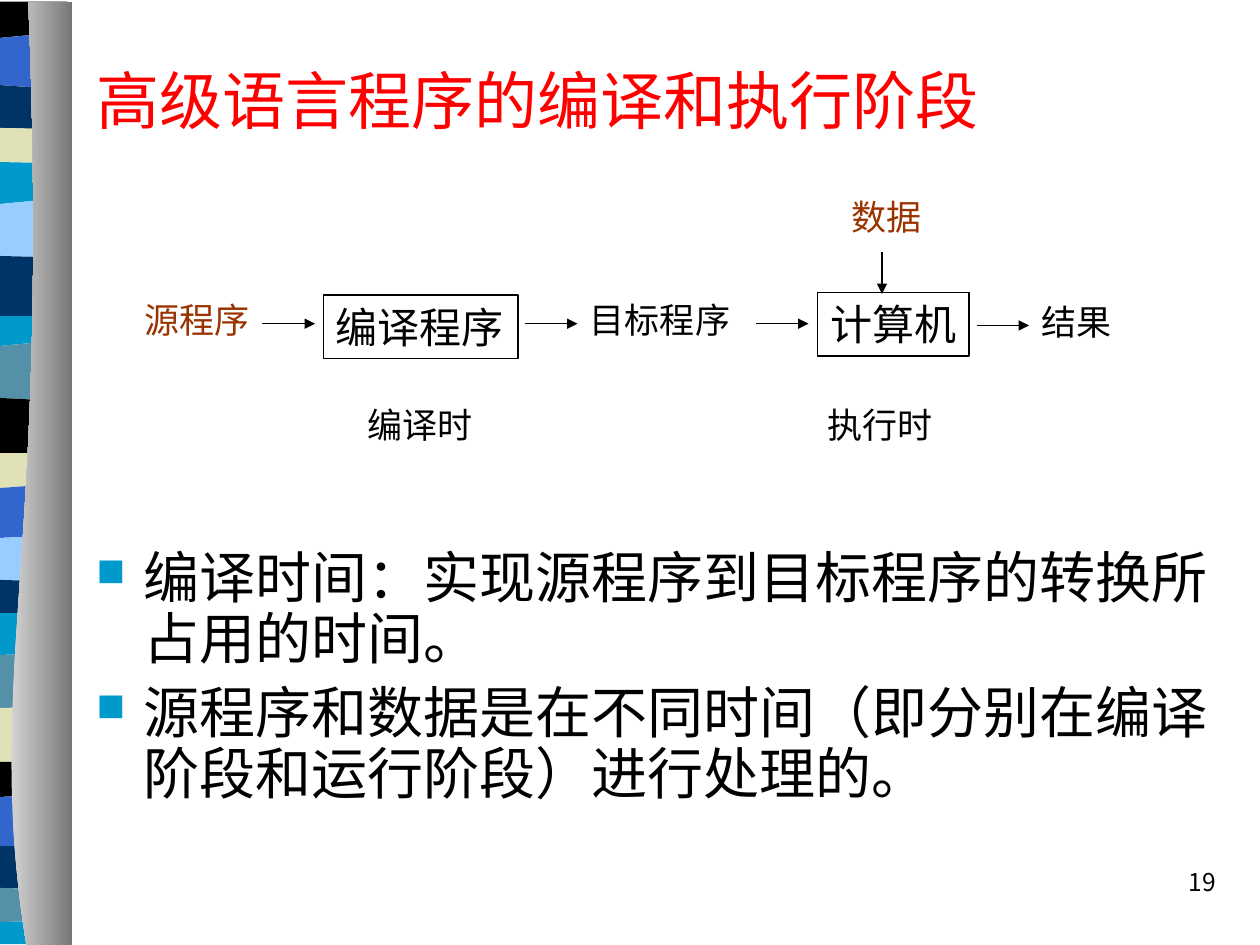
from lxml import etree
from pptx import Presentation
from pptx.dml.color import RGBColor
from pptx.enum.shapes import MSO_CONNECTOR, MSO_SHAPE
from pptx.enum.text import MSO_ANCHOR, MSO_AUTO_SIZE, PP_ALIGN
from pptx.oxml.ns import qn
from pptx.util import Pt

LEFT, RIGHT = PP_ALIGN.LEFT, PP_ALIGN.RIGHT
TOP, MIDDLE = MSO_ANCHOR.TOP, MSO_ANCHOR.MIDDLE
NO_FIT = MSO_AUTO_SIZE.NONE
RECTANGLE, STRAIGHT = MSO_SHAPE.RECTANGLE, MSO_CONNECTOR.STRAIGHT

FONT = "Noto Sans CJK SC"
BULLET_FONT, SQUARE_BULLET = "Wingdings", "n"
BLACK, RED, BROWN = "000000", "FF0000", "993300"
NAVY, BLUE, SKY, CYAN = "003366", "3366CC", "99CCFF", "0099CC"
TEAL, CREAM = "5490A8", "E1E1B7"
SLIDE_WIDTH, SLIDE_HEIGHT = 720, 540

TITLE = "高级语言程序的编译和执行阶段"
POINTS = [
    "编译时间：实现源程序到目标程序的转换所占用的时间。",
    "源程序和数据是在不同时间（即分别在编译阶段和运行阶段）进行处理的。",
]
PAGE_NUMBER = "19"

LABELS = [
    ("源程序", 75.6, 167, 74, BROWN),
    ("目标程序", 330, 167, 94, BLACK),
    ("编译时", 203, 226.8, 74, BLACK),
    ("数据", 479.5, 108, 54, BROWN),
    ("结果", 588.2, 168, 54, BLACK),
    ("执行时", 465.8, 226.8, 74, BLACK),
]
STAGES = [("编译程序", 184.8, 168.6, 111.2), ("计算机", 467.3, 167.2, 86.4)]
ARROWS = [
    (150, 185, 180, 185),
    (300, 185, 330, 185),
    (432, 185, 462, 185),
    (504, 144, 504, 168),
    (558, 186, 588, 186),
]

BANDS = [
    (BLACK, 1, 1), (BLUE, 21.7, 19.4), (NAVY, 48.6, 50.3), (CREAM, 73.1, 73.7),
    (CYAN, 92.6, 93.1), (SKY, 116.6, 114.3), (NAVY, 146.3, 146.9),
    (CYAN, 180.6, 180.6), (TEAL, 197.7, 195.4), (BLACK, 227.4, 228.6),
    (CREAM, 258.9, 258.9), (BLUE, 278.9, 277.1), (SKY, 307.4, 306.3),
    (NAVY, 331.4, 332), (CYAN, 350.3, 350.3), (TEAL, 374.3, 373.1),
    (CREAM, 404.6, 404), (BLACK, 435.4, 435.4), (BLUE, 455.4, 454.3),
    (NAVY, 483.4, 484), (TEAL, 507.4, 508), (CYAN, 526.9, 526.3),
]
BANDS_END = 539.5
BAND_LEFT, BAND_BEND, BAND_RIGHT = -41, 24, 38.4
RIBBON_CURVE = [(15.1, 540), (-10, 383.8), (29.5, 326.9), (16.2, 1)]
RIBBON_RIGHT = 41.5
CURVE_STEPS = 40


def color(value):
    return RGBColor.from_string(value)


def put_text(shape, text, size=20, ink=BLACK, align=LEFT, anchor=TOP,
             wrap=True, bullet=None, gap=0, line_spacing=None):
    frame = shape.text_frame
    frame.auto_size = NO_FIT
    frame.word_wrap = wrap
    frame.vertical_anchor = anchor
    lines = [text] if isinstance(text, str) else text
    for index, line in enumerate(lines):
        paragraph = frame.add_paragraph() if index else frame.paragraphs[0]
        paragraph.alignment = align
        paragraph.space_before = Pt(gap if index else 0)
        if line_spacing:
            paragraph.line_spacing = line_spacing
        if bullet:
            properties = paragraph._p.get_or_add_pPr()
            properties.set("marL", str(Pt(27)))
            properties.set("indent", str(-Pt(27)))
            tint = etree.SubElement(properties, qn("a:buClr"))
            etree.SubElement(tint, qn("a:srgbClr"), val=CYAN)
            etree.SubElement(properties, qn("a:buSzPct"), val="70000")
            etree.SubElement(properties, qn("a:buFont"), typeface=BULLET_FONT,
                             pitchFamily="2", charset="2")
            etree.SubElement(properties, qn("a:buChar"), char=bullet)
        run = paragraph.add_run()
        run.text = line
        run.font.size = Pt(size)
        run.font.name = FONT
        run.font.color.rgb = color(ink)
        etree.SubElement(run._r.get_or_add_rPr(), qn("a:ea"), typeface=FONT)


def add_text(slide, text, left, top, width, height, **text_format):
    box = slide.shapes.add_textbox(Pt(left), Pt(top), Pt(width), Pt(height))
    put_text(box, text, **text_format)


def add_outline(slide, points):
    (x, y), *rest = [(Pt(x), Pt(y)) for x, y in points]
    builder = slide.shapes.build_freeform(x, y)
    builder.add_line_segments(rest, close=True)
    outline = builder.convert_to_shape()
    outline.shadow.inherit = False
    outline.line.fill.background()
    return outline


def curve_point(step):
    t = step / CURVE_STEPS
    weights = ((1 - t) ** 3, 3 * t * (1 - t) ** 2, 3 * t ** 2 * (1 - t), t ** 3)
    return tuple(sum(w * point[axis] for w, point in zip(weights, RIBBON_CURVE))
                 for axis in (0, 1))


def band_edge(left_y, right_y):
    return [(BAND_LEFT, left_y), (0, left_y), (BAND_BEND, right_y), (BAND_RIGHT, right_y)]


def add_ribbon(slide):
    ends = [band[1:] for band in BANDS[1:]] + [(BANDS_END, BANDS_END)]
    for (fill, *start), end in zip(BANDS, ends):
        band = add_outline(slide, band_edge(*start) + band_edge(*end)[::-1])
        band.fill.solid()
        band.fill.fore_color.rgb = color(fill)
    edge = [curve_point(step) for step in range(CURVE_STEPS + 1)]
    ribbon = add_outline(slide, edge + [(RIBBON_RIGHT, 1), (RIBBON_RIGHT, 540)])
    ribbon.fill.gradient()
    ribbon.fill.gradient_angle = 0
    for stop, tone, position in zip(ribbon.fill.gradient_stops,
                                    ("D3D3D3", "767676"), (0, 1)):
        stop.color.rgb = color(tone)
        stop.position = position


def add_stage(slide, text, left, top, width):
    stage = slide.shapes.add_shape(RECTANGLE, Pt(left), Pt(top), Pt(width), Pt(36.3))
    stage.shadow.inherit = False
    stage.fill.background()
    stage.line.color.rgb = color(BLACK)
    stage.line.width = Pt(0.75)
    put_text(stage, text, size=24, wrap=False)


def add_arrow(slide, *ends):
    arrow = slide.shapes.add_connector(STRAIGHT, *map(Pt, ends))
    arrow.line.color.rgb = color(BLACK)
    arrow.line.width = Pt(0.75)
    etree.SubElement(arrow.line._get_or_add_ln(), qn("a:tailEnd"), type="triangle")
    etree.SubElement(arrow._element.spPr, qn("a:effectLst"))


def main():
    presentation = Presentation()
    presentation.slide_width = Pt(SLIDE_WIDTH)
    presentation.slide_height = Pt(SLIDE_HEIGHT)
    slide = presentation.slides.add_slide(presentation.slide_layouts[5])
    add_ribbon(slide)

    title = slide.shapes.title
    title.left, title.top, title.width, title.height = map(Pt, (48, 12, 657, 90))
    put_text(title, TITLE, size=36, ink=RED, anchor=MIDDLE)
    add_text(slide, POINTS, 48, 311, 657, 169, size=32, bullet=SQUARE_BULLET,
             gap=8, line_spacing=0.9)
    add_text(slide, PAGE_NUMBER, 552, 492, 150, 36, size=14, align=RIGHT)

    for text, left, top, width, ink in LABELS:
        add_text(slide, text, left, top, width, 31.5, ink=ink, wrap=False)
    for stage in STAGES:
        add_stage(slide, *stage)
    for ends in ARROWS:
        add_arrow(slide, *ends)
    presentation.save("out.pptx")


if __name__ == "__main__":
    main()
